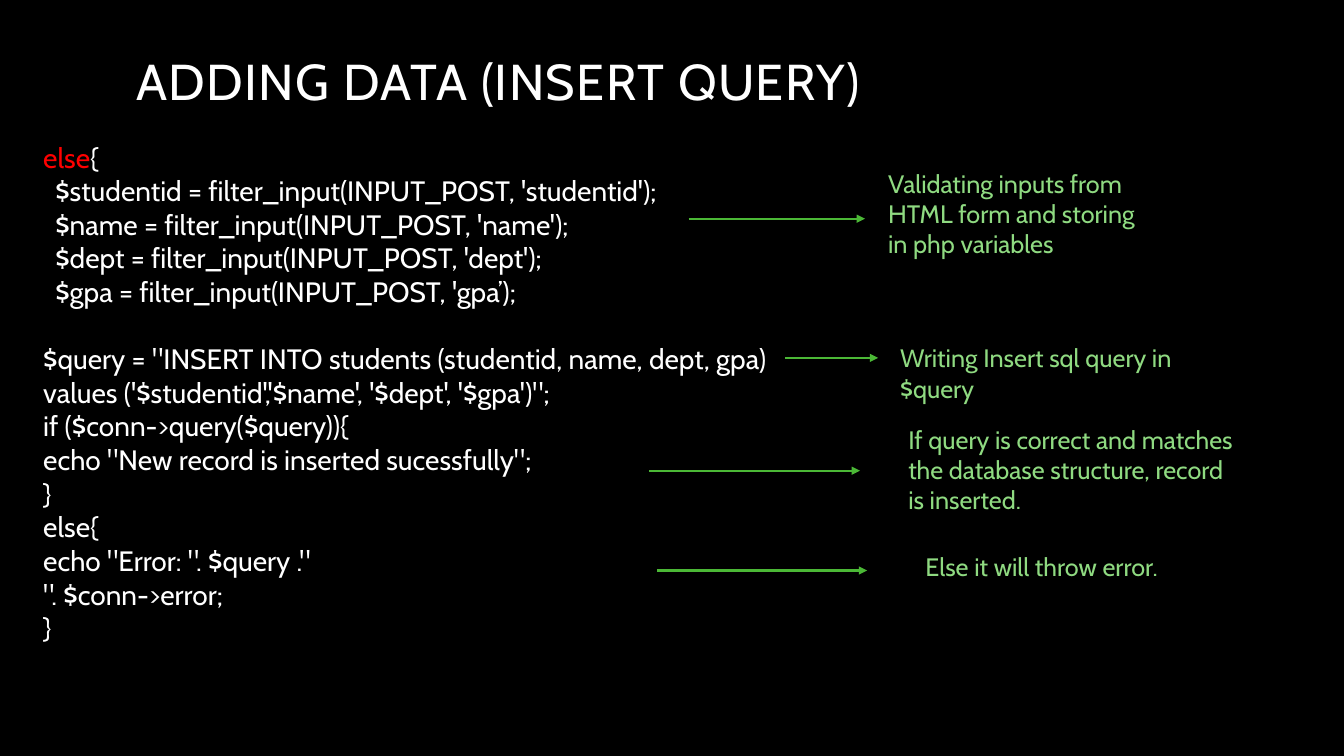
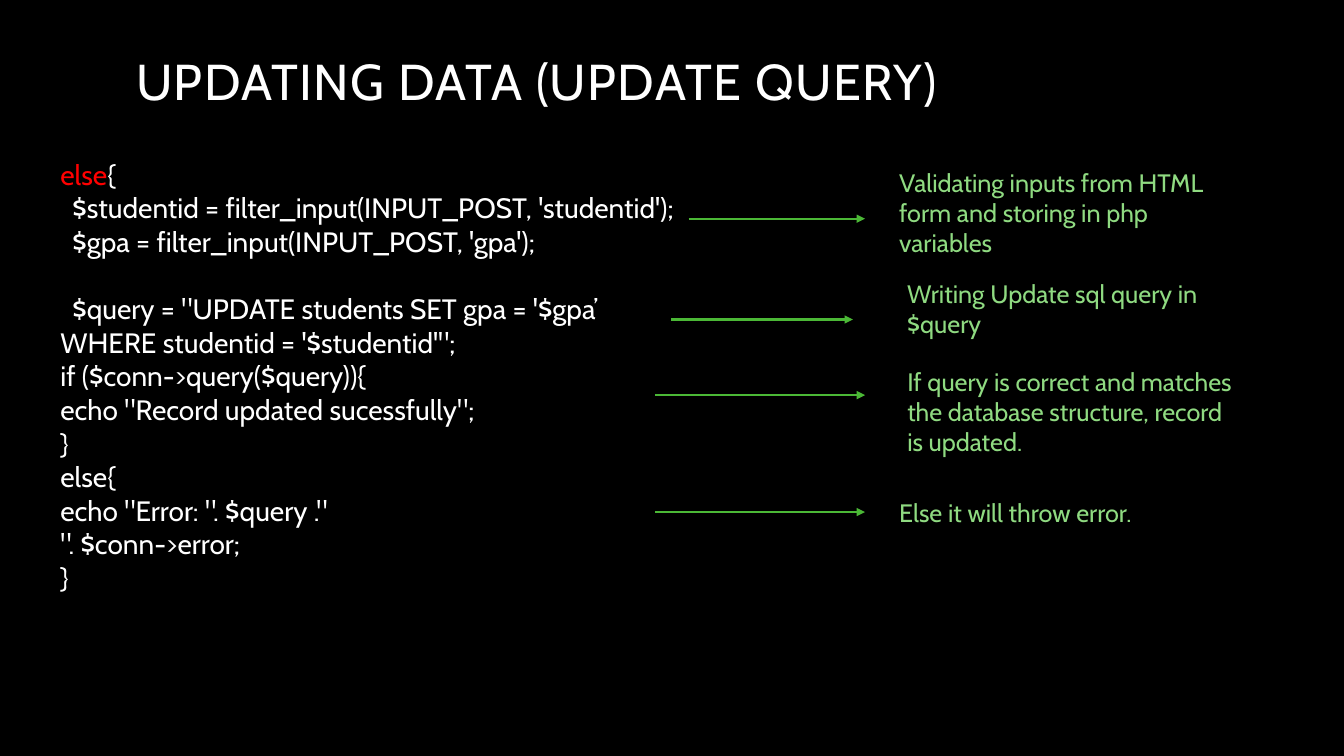
from lxml import etree
from pptx import Presentation
from pptx.dml.color import RGBColor
from pptx.enum import shapes, text
from pptx.oxml import ns
from pptx.util import Inches, Pt

BLACK = RGBColor(0x00, 0x00, 0x00)
WHITE = RGBColor(0xFF, 0xFF, 0xFF)
RED = RGBColor(0xFF, 0x00, 0x00)
ARROW_GREEN = RGBColor(0x4B, 0xB8, 0x36)
NOTE_GREEN = RGBColor(0x8F, 0xDA, 0x81)
FONT = "Cabin"
CODE_SIZE = 20
CODE_LINE = 24
CODE_INDENT = 0.12
KEYWORD = "else"

INSERT_CODE = """else{
  $studentid = filter_input(INPUT_POST, 'studentid');
  $name = filter_input(INPUT_POST, 'name');
  $dept = filter_input(INPUT_POST, 'dept');
  $gpa = filter_input(INPUT_POST, 'gpa’);

$query = "INSERT INTO students (studentid, name, dept, gpa)
values ('$studentid','$name', '$dept', '$gpa')";
if ($conn->query($query)){
echo "New record is inserted sucessfully";
}
else{
echo "Error: ". $query ."
". $conn->error;
}"""

UPDATE_CODE = """else{
  $studentid = filter_input(INPUT_POST, 'studentid');
  $gpa = filter_input(INPUT_POST, 'gpa');

  $query = "UPDATE students SET gpa = '$gpa’
WHERE studentid = '$studentid'";
if ($conn->query($query)){
echo "Record updated sucessfully";
}
else{
echo "Error: ". $query ."
". $conn->error;
}"""

VALIDATING = "Validating inputs from HTML form and storing in php variables"
THROWING = "Else it will throw error."

INSERT_STEPS = [
    ((6.83, 8.58, 2.17), (8.71, 1.62, 2.75, 1.01), VALIDATING),
    ((7.79, 8.71, 3.55), (8.83, 3.35, 3.17, 0.71),
     "Writing Insert sql query in $query"),
    ((6.44, 8.53, 4.67), (8.91, 4.16, 3.52, 1.01),
     "If query is correct and matches the database structure, record is inserted."),
    ((6.52, 8.6, 5.66), (9.08, 5.42, 3.17, 0.4), THROWING),
]

UPDATE_STEPS = [
    ((6.83, 8.58, 2.17), (8.82, 1.61, 3.33, 1.01), VALIDATING),
    ((6.66, 8.46, 3.17), (8.9, 2.71, 3.17, 0.71),
     "Writing Update sql query in $query"),
    ((6.5, 8.58, 3.92), (8.9, 3.58, 3.52, 1.01),
     "If query is correct and matches the database structure, record is updated."),
    ((6.5, 8.58, 5.08), (8.82, 4.88, 3.17, 0.4), THROWING),
]


def write(paragraph, words, size=CODE_SIZE, color=WHITE, spacing=None):
    run = paragraph.add_run()
    run.text = words
    run.font.name = FONT
    run.font.size = Pt(size)
    run.font.color.rgb = color
    if spacing is not None:
        run.font._element.set("spc", str(spacing * 100))


def add_text_frame(slide, box):
    frame = slide.shapes.add_textbox(*map(Inches, box)).text_frame
    frame.word_wrap = True
    frame.auto_size = text.MSO_AUTO_SIZE.SHAPE_TO_FIT_TEXT
    return frame


def add_title(slide, words):
    title = slide.shapes.title
    title.left, title.top, title.width, title.height = map(
        Inches, (1.25, 0.33, 9.75, 0.83))
    frame = title.text_frame
    frame.word_wrap = True
    frame.auto_size = text.MSO_AUTO_SIZE.NONE
    frame.vertical_anchor = text.MSO_ANCHOR.BOTTOM
    heading = frame.paragraphs[0]
    heading.alignment = text.PP_ALIGN.LEFT
    heading.line_spacing = 0.9
    write(heading, words, size=36, spacing=1)


def add_code(slide, box, code):
    frame = add_text_frame(slide, box)
    line = frame.paragraphs[0]
    after_gap = False
    for number, source in enumerate(code.split("\n")):
        if not source:
            after_gap = True
            continue
        if number:
            line = frame.add_paragraph()
        if after_gap:
            line.space_before = Pt(CODE_LINE)
            after_gap = False
        if source.startswith(" "):
            properties = line._p.get_or_add_pPr()
            properties.set("marL", "0")
            properties.set("indent", str(Inches(CODE_INDENT)))
        words = source.strip()
        if number == 0:
            write(line, KEYWORD, color=RED)
            words = words.removeprefix(KEYWORD)
        write(line, words)


def add_arrow(slide, start, end, y):
    arrow = slide.shapes.add_connector(
        shapes.MSO_CONNECTOR.STRAIGHT,
        Inches(start), Inches(y), Inches(end), Inches(y))
    arrow.line.color.rgb = ARROW_GREEN
    arrow.line.width = Pt(1.5)
    outline = arrow.line._get_or_add_ln()
    etree.SubElement(outline, ns.qn("a:tailEnd"), type="triangle")
    etree.SubElement(arrow._element.spPr, ns.qn("a:effectLst"))


def add_step(slide, arrow, box, note):
    add_arrow(slide, *arrow)
    frame = add_text_frame(slide, box)
    write(frame.paragraphs[0], note, size=18, color=NOTE_GREEN)


def add_query_slide(deck, title, code_box, code, steps):
    slide = deck.slides.add_slide(deck.slide_layouts[5])
    add_title(slide, title)
    add_code(slide, code_box, code)
    for arrow, box, note in steps:
        add_step(slide, arrow, box, note)


def main():
    deck = Presentation()
    deck.slide_width = Inches(13.33)
    deck.slide_height = Inches(7.5)
    backdrop = deck.slide_master.background.fill
    backdrop.solid()
    backdrop.fore_color.rgb = BLACK
    add_query_slide(deck, "ADDING DATA (INSERT QUERY)",
                    (0.33, 1.34, 7.75, 5.15), INSERT_CODE, INSERT_STEPS)
    add_query_slide(deck, "UPDATING DATA (UPDATE QUERY)",
                    (0.5, 1.51, 6.92, 4.48), UPDATE_CODE, UPDATE_STEPS)
    deck.save("out.pptx")


if __name__ == "__main__":
    main()
